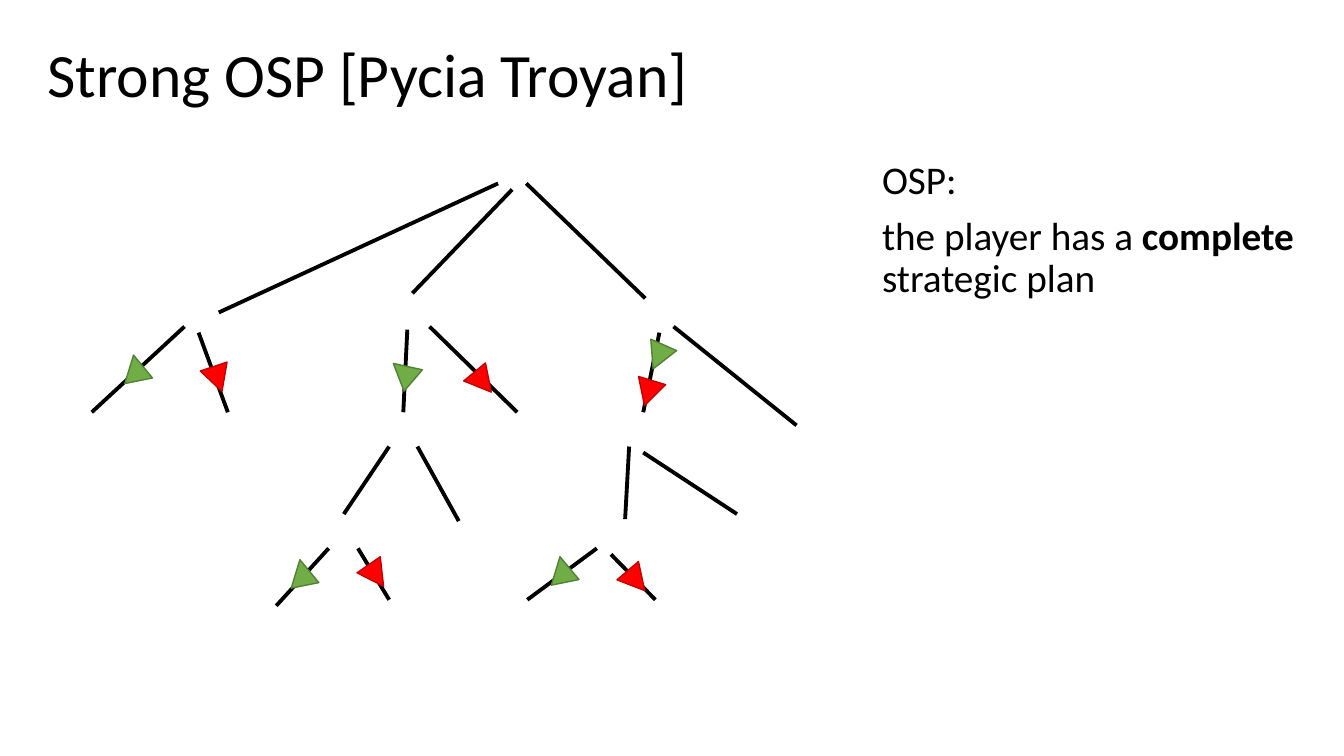
from lxml.etree import SubElement
from pptx import Presentation
from pptx.dml.color import RGBColor
from pptx.enum.shapes import MSO_CONNECTOR, MSO_SHAPE
from pptx.enum.text import MSO_ANCHOR
from pptx.oxml.ns import qn
from pptx.util import Inches, Pt

BLACK = RGBColor(0x00, 0x00, 0x00)
GREEN, DARK_GREEN = RGBColor(0x70, 0xAD, 0x47), RGBColor(0x53, 0x80, 0x35)
RED, DARK_RED = RGBColor(0xFF, 0x00, 0x00), RGBColor(0xC0, 0x00, 0x00)
FONT = "Calibri"

# Paragraphs are lists of (text, bold) runs.
TITLE = [[("Strong OSP [Pycia Troyan]", False)]]
BODY = [
    [("OSP:", False)],
    [("the player has a ", False), ("complete ", True), ("strategic plan", False)],
]

# Tree branches by parent node: (child end, parent end), in inches.
BRANCHES = {
    "root": [((2.17, 3.1), (4.94, 1.82)), ((4.09, 2.91), (5.08, 1.88)),
             ((6.4, 2.96), (5.22, 1.82))],
    "left": [((0.91, 4.09), (1.83, 3.24)), ((2.26, 4.09), (1.97, 3.3))],
    "middle": [((4, 4.09), (4.04, 3.27)), ((5.13, 4.09), (4.26, 3.24))],
    "right": [((6.38, 4.09), (6.54, 3.3)), ((7.9, 4.22), (6.68, 3.24))],
    "middle child": [((3.41, 5.1), (3.86, 4.43)), ((4.55, 5.17), (4.14, 4.43))],
    "right child": [((6.2, 5.15), (6.24, 4.43)), ((7.31, 5.1), (6.38, 4.49))],
    "middle grandchild": [((2.74, 6.01), (3.26, 5.44)), ((3.86, 5.95), (3.55, 5.44))],
    "right grandchild": [((5.23, 5.95), (5.92, 5.44)), ((6.5, 5.95), (6.06, 5.5))],
}

# Chosen actions: (left, top, rotation) by fill and outline.
MARK_W, MARK_H = 0.28, 0.26
MARKS = {
    (GREEN, DARK_GREEN): [(1.21, 3.52, 348.6), (3.86, 3.56, 310.7), (2.86, 5.55, 348.6),
                          (5.44, 5.52, 348.6), (6.39, 3.41, 203.9)],
    (RED, DARK_RED): [(3.59, 5.58, 145.3), (2.02, 3.63, 161.6), (6.29, 3.77, 196.9),
                      (6.17, 5.63, 139.5), (4.65, 3.66, 140.4)],
}


def add_text(slide, box, paragraphs, size, anchor):
    tf = slide.shapes.add_textbox(*map(Inches, box)).text_frame
    tf.word_wrap = True
    tf.vertical_anchor = anchor
    for i, runs in enumerate(paragraphs):
        p = tf.add_paragraph() if i else tf.paragraphs[0]
        p.line_spacing = 0.9
        p.space_before = Pt(10 if i else 0)
        p.font.name, p.font.size = FONT, Pt(size)
        p.font.color.rgb = BLACK
        for text, bold in runs:
            r = p.add_run()
            r.text = text
            r.font.bold = bold


def add_branch(slide, child, parent):
    line = slide.shapes.add_connector(
        MSO_CONNECTOR.STRAIGHT, *map(Inches, child + parent))
    line.line.color.rgb = BLACK
    line.line.width = Pt(2.75)
    SubElement(line._element.spPr, qn("a:effectLst"))


def add_mark(slide, left, top, rotation, fill, outline):
    sp = slide.shapes.add_shape(
        MSO_SHAPE.ISOSCELES_TRIANGLE, *map(Inches, (left, top, MARK_W, MARK_H)))
    sp.rotation = rotation
    sp.shadow.inherit = False
    sp.fill.solid()
    sp.fill.fore_color.rgb = fill
    sp.line.color.rgb = outline
    sp.line.width = Pt(1)


def main():
    prs = Presentation()
    prs.slide_width, prs.slide_height = Inches(13.33), Inches(7.5)
    slide = prs.slides.add_slide(prs.slide_layouts[6])

    add_text(slide, (0.37, 0.04, 11.5, 1.45), TITLE, 44, MSO_ANCHOR.MIDDLE)
    for branches in BRANCHES.values():
        for child, parent in branches:
            add_branch(slide, child, parent)
    for (fill, outline), marks in MARKS.items():
        for left, top, rotation in marks:
            add_mark(slide, left, top, rotation, fill, outline)
    add_text(slide, (8.65, 1.54, 5.02, 1.61), BODY, 28, MSO_ANCHOR.TOP)

    prs.save("out.pptx")


if __name__ == "__main__":
    main()
